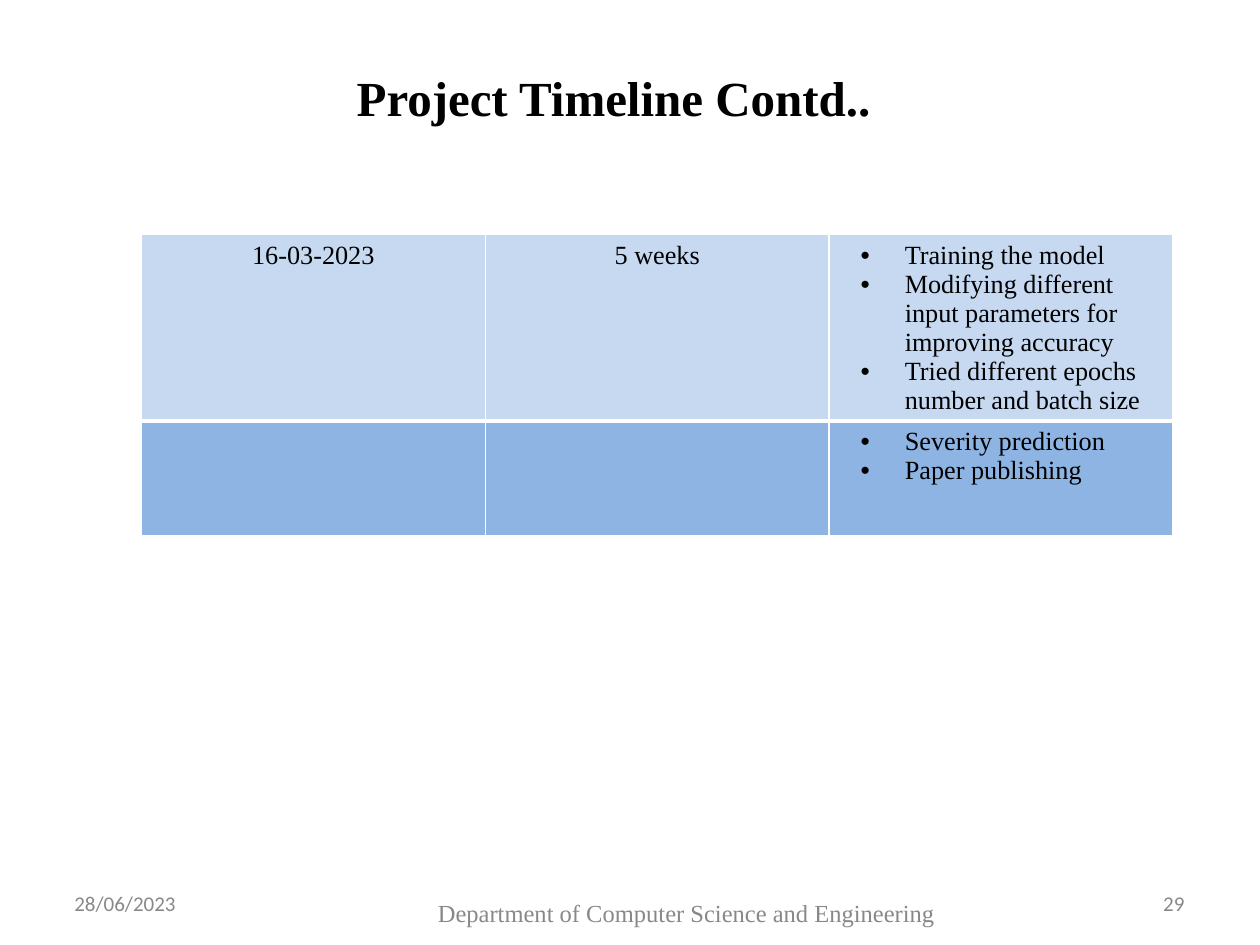
from dataclasses import dataclass

from lxml import etree
from pptx import Presentation
from pptx.dml.color import RGBColor
from pptx.enum.text import MSO_ANCHOR, PP_ALIGN
from pptx.oxml.ns import qn
from pptx.util import Cm, Pt

LEFT, CENTER = PP_ALIGN.LEFT, PP_ALIGN.CENTER
TOP = MSO_ANCHOR.TOP
TITLE_ONLY = 5


@dataclass(frozen=True)
class Theme:
    serif: str = "Times New Roman"
    sans: str = "Calibri"
    ink: str = "000000"
    muted: str = "888888"
    border: str = "FFFFFF"
    row_fills: tuple = ("C6D9F1", "8EB4E3")
    title_size: int = 28
    table_size: int = 15
    department_size: int = 14
    footer_size: int = 12


THEME = Theme()

TITLE = "Project Timeline Contd.."
DATE, DEPARTMENT, PAGE_NUMBER = (
    "28/06/2023", "Department of Computer Science and Engineering", "29")
TIMELINE = [
    ("16-03-2023", "5 weeks", [
        "Training the model",
        "Modifying different input parameters for improving accuracy",
        "Tried different epochs number and batch size",
    ]),
    ("", "", ["Severity prediction", "Paper publishing"]),
]
ROW_HEIGHTS = (Cm(3.74), Cm(2.31))


def style_paragraph(para, font, size, color, align=LEFT, bold=False):
    para.alignment = align
    para.font.name = font
    para.font.size = Pt(size)
    para.font.color.rgb = RGBColor.from_string(color)
    para.font.bold = bold


def place(shape, box):
    shape.left, shape.top, shape.width, shape.height = box


def clear_insets(frame):
    frame.margin_left = frame.margin_right = 0
    frame.margin_top = frame.margin_bottom = 0
    frame.vertical_anchor = TOP


def add_bullet(para):
    props = para._p.get_or_add_pPr()
    props.set("marL", str(Cm(1.27)))
    props.set("indent", str(-Cm(0.89)))
    color = etree.SubElement(props, qn("a:buClr"))
    etree.SubElement(color, qn("a:srgbClr"), val=THEME.ink)
    etree.SubElement(props, qn("a:buFont"), typeface="Arial")
    etree.SubElement(props, qn("a:buChar"), char="•")


def set_borders(cell, widths):
    """Draw the left, right, top and bottom borders, widths in points."""
    props = cell._tc.get_or_add_tcPr()
    for index, (side, width) in enumerate(zip("LRTB", widths)):
        line = etree.Element(qn(f"a:ln{side}"), w=str(Pt(width)))
        fill = etree.SubElement(line, qn("a:solidFill"))
        etree.SubElement(fill, qn("a:srgbClr"), val=THEME.border)
        props.insert(index, line)


def fill_cell(cell, content, color, widths):
    bulleted = isinstance(content, list)
    lines = content if bulleted else [content]
    frame = cell.text_frame
    frame.text = "\n".join(lines)
    for para in frame.paragraphs:
        style_paragraph(para, THEME.serif, THEME.table_size, THEME.ink,
                        LEFT if bulleted else CENTER)
        if bulleted:
            add_bullet(para)
    cell.fill.solid()
    cell.fill.fore_color.rgb = RGBColor.from_string(color)
    set_borders(cell, widths)


def add_title(page, box):
    title = page.shapes.title
    place(title, box)
    frame = title.text_frame
    frame.text = TITLE
    clear_insets(frame)
    style_paragraph(frame.paragraphs[0], THEME.serif, THEME.title_size,
                    THEME.ink, bold=True)


def add_timeline(page, box):
    columns = len(TIMELINE[0])
    table = page.shapes.add_table(len(TIMELINE), columns, *box).table
    table.first_row = table.horz_banding = False
    for column in table.columns:
        column.width = box[2] // columns
    for row, height in zip(table.rows, ROW_HEIGHTS):
        row.height = height
    row_borders = ((1, 1, 1, 3), (1, 1, 3, 1))
    for r, entry in enumerate(TIMELINE):
        for c, content in enumerate(entry):
            fill_cell(table.cell(r, c), content, THEME.row_fills[r],
                      row_borders[r])


def add_label(page, box, text, font, size, align=LEFT):
    frame = page.shapes.add_textbox(*box).text_frame
    frame.word_wrap = True
    clear_insets(frame)
    para = frame.paragraphs[0]
    para.text = text
    style_paragraph(para, font, size, THEME.muted, align)


def add_footer(page, box):
    left, top, width, height = box
    number_width = Cm(0.56)
    add_label(page, (left, top, Cm(2.1), height), DATE,
              THEME.sans, THEME.footer_size)
    add_label(page, (left + Cm(5.47), top + Cm(0.15), Cm(13.74), Cm(1.8)),
              DEPARTMENT, THEME.serif, THEME.department_size, CENTER)
    add_label(page, (left + width - number_width, top, number_width, height),
              PAGE_NUMBER, THEME.sans, THEME.footer_size)


def main():
    deck = Presentation()
    deck.slide_width, deck.slide_height = Cm(25.4), Cm(19.05)
    page = deck.slides.add_slide(deck.slide_layouts[TITLE_ONLY])
    add_title(page, (Cm(7.19), Cm(1.37), Cm(11.02), Cm(1.19)))
    add_timeline(page, (Cm(2.85), Cm(4.73), Cm(20.8), sum(ROW_HEIGHTS)))
    add_footer(page, (Cm(1.5), Cm(17.96), Cm(22.51), Cm(0.53)))
    deck.save("out.pptx")


if __name__ == "__main__":
    main()
